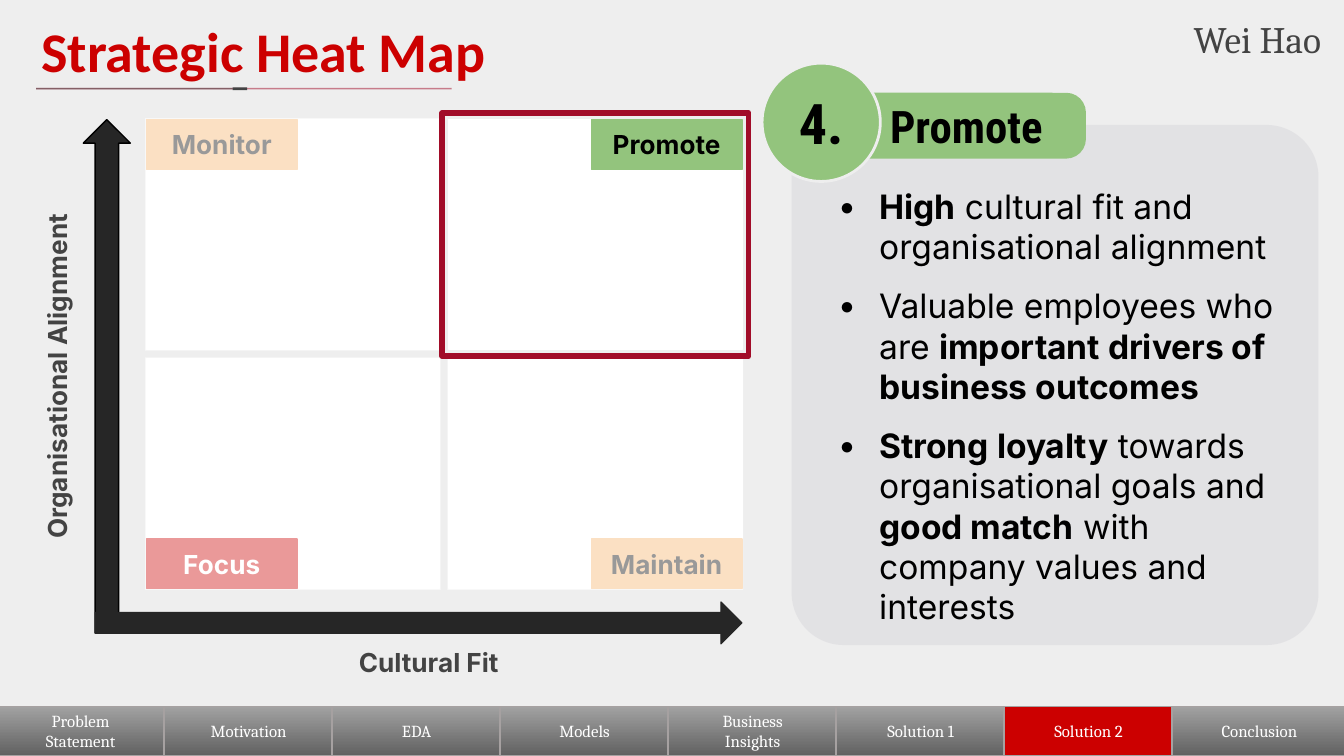
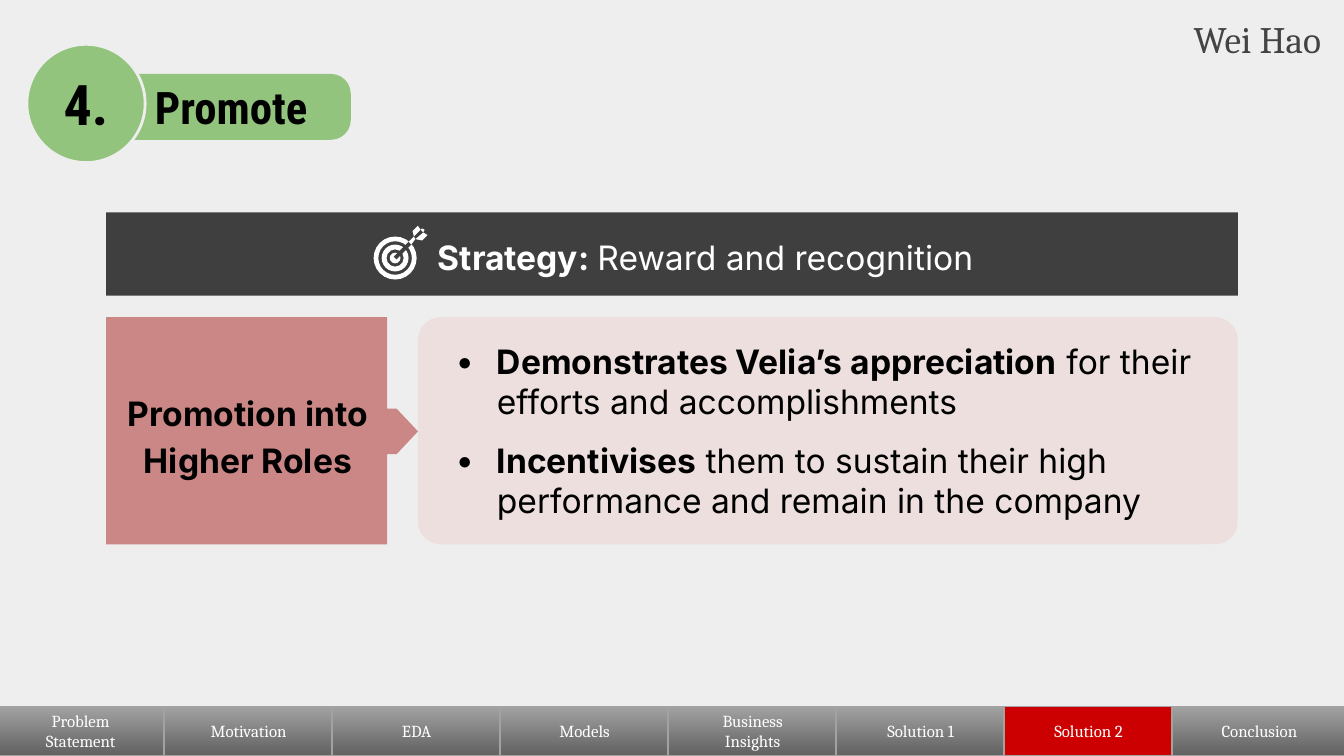
from lxml import etree
from pptx import Presentation, util as u
from pptx.dml.color import RGBColor
from pptx.enum import shapes, text
from pptx.oxml.ns import qn

W = 10
H = W * 9 / 16
BACK, RED, CRIMSON, GREEN = "EEEEEE", "CC0000", "A10C28", "93C47D"
ORANGE, GREY, CHARCOAL, ROSE = "F6B26B", "434343", "3F3F3F", "CA8786"
WHITE, BLACK, INK = "FFFFFF", "000000", "262626"
BODY, SERIF, TITLE, LABEL = "Inter", "Cambria", "Calibri", "Roboto Condensed"

SECTIONS = ["Problem\nStatement", "Motivation", "EDA", "Models",
            "Business\nInsights", "Solution 1", "Solution 2", "Conclusion"]
CURRENT = "Solution 2"
SPEAKER = "Wei Hao"
STEP = ("4.", "Promote")
QUADRANTS = [
    ("Monitor", 0, 0, ORANGE, BLACK),
    ("Promote", 1, 0, GREEN, BLACK),
    ("Focus", 0, 1, RED, WHITE),
    ("Maintain", 1, 1, ORANGE, BLACK),
]
PROFILE = [
    [("High", True), (" cultural fit and organisational alignment", False)],
    [("Valuable employees who are ", False),
     ("important drivers of business outcomes", True)],
    [("Strong loyalty", True), (" towards organisational goals and ", False),
     ("good match", True), (" with company values and interests", False)],
]
STRATEGY = [[("Strategy: ", True), ("Reward and recognition", False)]]
ACTION = "Promotion into Higher Roles"
REASONS = [
    [("Demonstrates Velia’s appreciation", True),
     (" for their efforts and accomplishments", False)],
    [("Incentivises", True),
     (" them to sustain their high performance and remain in the company", False)],
]

KIND = shapes.MSO_SHAPE
CENTER, LEFT, RIGHT = text.PP_ALIGN.CENTER, text.PP_ALIGN.LEFT, text.PP_ALIGN.RIGHT
MIDDLE, TOP = text.MSO_ANCHOR.MIDDLE, text.MSO_ANCHOR.TOP
WIDE, SNUG = (0.1, 0.1, 0.1, 0.1), (0.07, 0.04, 0.07, 0.04)


def rgb(color):
    return RGBColor.from_string(color)


def fade(properties, percent):
    color = next(properties.iter(qn("a:srgbClr")))
    etree.SubElement(color, qn("a:alpha"), val=str(percent * 1000))


def paint(shape, fill=None, line=None, alpha=None):
    shape.shadow.inherit = False
    if isinstance(fill, tuple):
        shape.fill.gradient()
        shape.fill.gradient_angle = 270
        for stop, color in zip(shape.fill.gradient_stops, fill):
            stop.color.rgb = rgb(color)
    elif fill:
        shape.fill.solid()
        shape.fill.fore_color.rgb = rgb(fill)
        if alpha:
            fade(shape.fill._xPr, alpha)
    else:
        shape.fill.background()
    if line:
        shape.line.color.rgb = rgb(line[0])
        shape.line.width = u.Pt(line[1])
    else:
        shape.line.fill.background()


def block(slide, kind, box, fill=None, line=None, alpha=None, adj=()):
    shape = slide.shapes.add_shape(kind, *map(u.Inches, box))
    for i, share in enumerate(adj):
        shape.adjustments[i] = share
    paint(shape, fill, line, alpha)
    return shape


def outline(slide, points, fill):
    corners = [(u.Inches(x), u.Inches(y)) for x, y in points]
    pen = slide.shapes.build_freeform(*corners[0])
    pen.add_line_segments(corners[1:])
    paint(pen.convert_to_shape(), fill)


def rule(slide, start, end, color, width, alpha=None):
    line = slide.shapes.add_connector(
        shapes.MSO_CONNECTOR.STRAIGHT, *map(u.Inches, start + end))
    line.line.color.rgb = rgb(color)
    line.line.width = u.Pt(width)
    if alpha:
        fade(line.line._ln, alpha)
    etree.SubElement(line._element.spPr, qn("a:effectLst"))


def write(shape, content, size, font, color, bold=False, align=CENTER,
          anchor=MIDDLE, insets=WIDE, bullets=False, spacing=None, indent=0):
    frame = shape.text_frame
    frame.word_wrap = True
    frame.vertical_anchor = anchor
    (frame.margin_left, frame.margin_top,
     frame.margin_right, frame.margin_bottom) = map(u.Inches, insets)
    if isinstance(content, str):
        content = [[(row, bold)] for row in content.split("\n")]
    for i, runs in enumerate(content):
        para = frame.paragraphs[0] if i == 0 else frame.add_paragraph()
        para.alignment = align
        if spacing:
            para.line_spacing = spacing
        props = para._p.get_or_add_pPr()
        if bullets:
            if i:
                para.space_before = u.Pt(10)
            props.set("marL", str(u.Inches(0.44)))
            props.set("indent", str(u.Inches(-0.31)))
            tint = etree.SubElement(props, qn("a:buClr"))
            etree.SubElement(tint, qn("a:srgbClr"), val=color)
            etree.SubElement(props, qn("a:buFont"), typeface=font)
            etree.SubElement(props, qn("a:buChar"), char="•")
        elif indent:
            props.set("indent", str(u.Inches(indent)))
        para.font.size = u.Pt(size)
        para.font.name = font
        para.font.color.rgb = rgb(color)
        if len(runs) == 1:
            para.font.bold = runs[0][1]
        for words, strong in runs:
            run = para.add_run()
            run.text = words
            if len(runs) > 1:
                run.font.bold = strong


def label(slide, box, content, size, font, color, **style):
    holder = slide.shapes.add_textbox(*map(u.Inches, box))
    write(holder, content, size, font, color, anchor=TOP, **style)
    return holder


def new_slide(deck):
    slide = deck.slides.add_slide(deck.slide_layouts[6])
    slide.background.fill.solid()
    slide.background.fill.fore_color.rgb = rgb(BACK)
    step = W / len(SECTIONS)
    for i, section in enumerate(SECTIONS):
        width = 1.3 if i == len(SECTIONS) - 1 else 1.26
        fill = RED if section == CURRENT else ("A2A2A2", "616161")
        tab = block(slide, KIND.SNIP_1_RECTANGLE, (i * step - 0.03, H - 0.37, width, 0.37),
                    fill, ("A6A1A1", 0.75), adj=[0])
        write(tab, section, 9, SERIF, WHITE, insets=SNUG)
    label(slide, (8.49, 0.08, 1.41, 0.41), SPEAKER, 20, SERIF, GREY,
          align=RIGHT, insets=SNUG)
    return slide


def step_badge(slide, left, top):
    number, name = STEP
    plate = block(slide, KIND.ROUNDED_RECTANGLE, (left + 0.63, top + 0.22, 1.78, 0.49),
                  GREEN, adj=[0.3])
    write(plate, name, 24, LABEL, BLACK, bold=True)
    disc = block(slide, KIND.OVAL, (left, top, 0.88, 0.88), GREEN, (BACK, 1.5))
    write(disc, number, 30, LABEL, BLACK, bold=True)


def heat_map(slide):
    left, top, wide, high, gap = 1.09, 0.89, 2.18, 1.71, 0.07
    tag_w, tag_h, edge, veil = 1.12, 0.37, 0.05, 0.01
    cells = {name: (left + col * (wide + gap), top + row * (high + gap), wide, high)
             for name, col, row, _, _ in QUADRANTS}
    for cell in cells.values():
        block(slide, KIND.RECTANGLE, cell, WHITE, (WHITE, 0.75))
    block(slide, KIND.UP_ARROW, (0.62, top, 0.35, 3.82), INK, (BLACK, 0.75))
    block(slide, KIND.RIGHT_ARROW, (0.71, 4.48, 4.81, 0.31), INK, (INK, 0.75))
    for name, col, row, fill, color in QUADRANTS:
        x, y = cells[name][:2]
        tag = block(slide, KIND.RECTANGLE,
                    (x + col * (wide - tag_w), y + row * (high - tag_h), tag_w, tag_h),
                    fill, (fill, 0.75))
        write(tag, name, 14, BODY, color, bold=True)
    across = label(slide, (-1.04, 2.57, 2.96, 0.46), "Organisational Alignment",
                   14, BODY, GREY, bold=True)
    across.rotation = 270
    label(slide, (2.1, 4.71, wide, 0.46), "Cultural Fit", 14, BODY, GREY, bold=True)
    for name, (x, y, _, _) in cells.items():
        current = name == STEP[1]
        grow = edge if current else veil
        frame = (x - grow, y - grow, wide + 2 * grow, high + 2 * grow)
        if current:
            focus = frame
        else:
            block(slide, KIND.RECTANGLE, frame, WHITE, alpha=60)
    block(slide, KIND.RECTANGLE, focus, line=(CRIMSON, 3))


def target_icon(slide, x, y):
    for size, ring in ((0.32, 0.11), (0.2, 0.18)):
        block(slide, KIND.DONUT, (x - size / 2, y - size / 2, size, size),
              WHITE, adj=[ring])
    block(slide, KIND.OVAL, (x - 0.04, y - 0.04, 0.08, 0.08), WHITE)
    rule(slide, (x, y), (x + 0.12, y - 0.12), CHARCOAL, 2)
    dart = [
        [(0.1, -0.12), (0.14, -0.16), (0.15, -0.14), (0.12, -0.1)],
        [(0.14, -0.16), (0.13, -0.2), (0.17, -0.24), (0.19, -0.21)],
        [(0.15, -0.14), (0.21, -0.19), (0.24, -0.17), (0.2, -0.13)],
        [(0.19, -0.21), (0.2, -0.22), (0.22, -0.21), (0.21, -0.19)],
    ]
    for part in dart:
        outline(slide, [(x + dx, y + dy) for dx, dy in part], WHITE)


def map_slide(deck):
    slide = new_slide(deck)
    label(slide, (0.21, 0.02, 8.43, 0.63), "Strategic Heat Map", 30, TITLE, RED,
          bold=True, align=LEFT)
    rule(slide, (0.27, 0.66), (3.36, 0.66), CRIMSON, 0.75, 50)
    rule(slide, (0.27, 0.66), (1.73, 0.66), GREY, 0.75, 50)
    block(slide, KIND.RECTANGLE, (1.73, 0.65, 0.11, 0.02), GREY)
    panel = block(slide, KIND.ROUNDED_RECTANGLE, (5.89, 0.93, 3.92, 3.87),
                  "9894A8", alpha=13, adj=[0.1])
    write(panel, PROFILE, 18, BODY, BLACK, align=LEFT, anchor=TOP,
          insets=(0.1, 0.34, 0.1, 0.1), bullets=True)
    step_badge(slide, 5.67, 0.47)
    heat_map(slide)


def strategy_slide(deck):
    slide = new_slide(deck)
    left, right, top, bottom = 0.79, 9.21, 2.36, 4.05
    side, tip, mid = 2.88, 3.11, 3.21
    band = block(slide, KIND.RECTANGLE, (left, 1.58, right - left, 0.62), CHARCOAL)
    write(band, STRATEGY, 18, BODY, WHITE, spacing=1.15, indent=0.5)
    target_icon(slide, 2.94, 1.92)
    panel = block(slide, KIND.ROUNDED_RECTANGLE, (tip, top, right - tip, bottom - top),
                  "E38075", alpha=13, adj=[0.1])
    write(panel, REASONS, 18, BODY, BLACK, align=LEFT, bullets=True)
    outline(slide, [(left, top), (side, top), (side, mid - 0.17), (2.95, mid - 0.17),
                    (tip, mid), (2.95, mid + 0.17), (side, mid + 0.17),
                    (side, bottom), (left, bottom)], ROSE)
    label(slide, (left, 2.78, 2.11, 0.85), ACTION, 18, BODY, BLACK,
          bold=True, spacing=1.15)
    step_badge(slide, 0.2, 0.33)


def main():
    deck = Presentation()
    deck.slide_width, deck.slide_height = u.Inches(W), u.Inches(H)
    map_slide(deck)
    strategy_slide(deck)
    deck.save("out.pptx")


if __name__ == "__main__":
    main()
